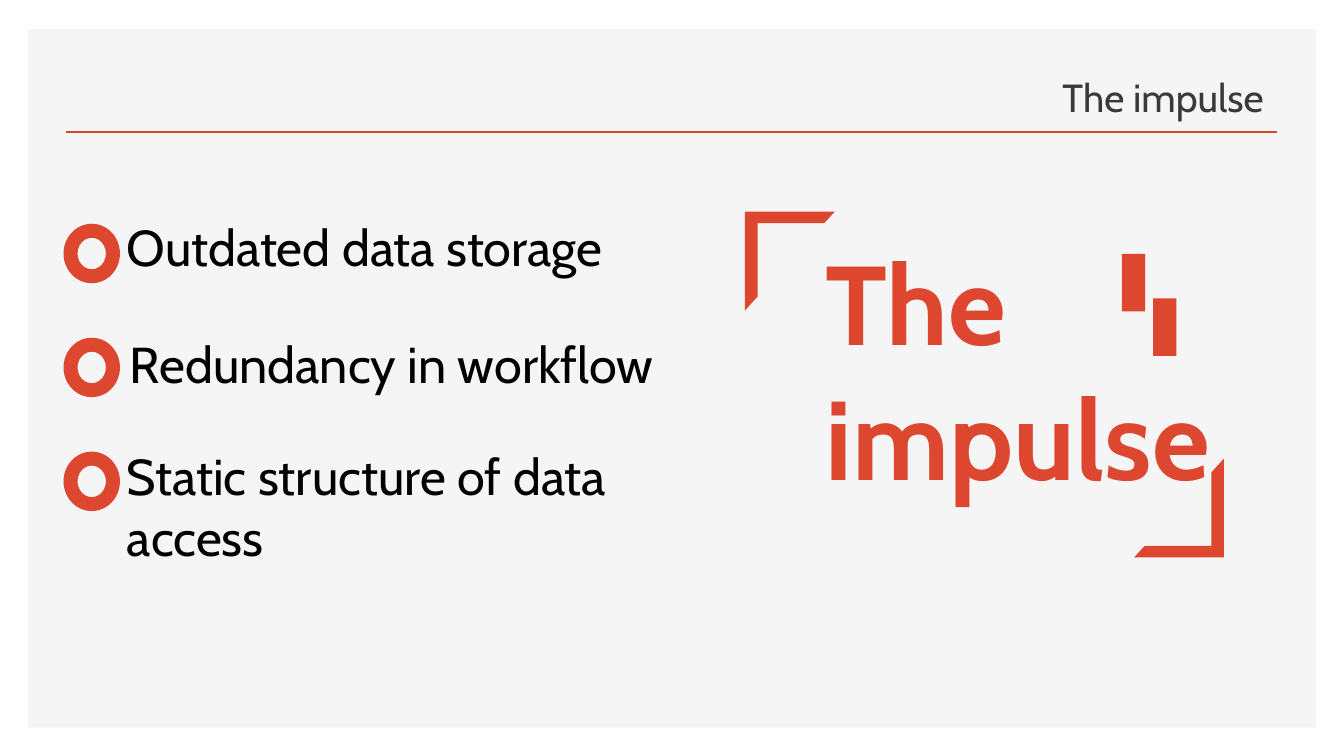
from dataclasses import dataclass

from lxml.etree import SubElement
from pptx import Presentation
from pptx.dml.color import RGBColor as Color
from pptx.enum.shapes import MSO_CONNECTOR as Connector, MSO_SHAPE as Shape
from pptx.enum.text import MSO_ANCHOR as Anchor, MSO_AUTO_SIZE as AutoSize, PP_ALIGN as Align
from pptx.oxml.ns import qn
from pptx.util import Inches, Pt


@dataclass(frozen=True)
class Theme:
    font: str = "Cabin"
    panel: str = "F5F5F5"
    rule: str = "D24726"
    accent: str = "DD462F"
    title: str = "3B3838"
    text: str = "000000"
    title_size: int = 28
    label_size: int = 36
    heading_size: int = 80
    rule_width: int = 2


THEME = Theme()
WIDTH, HEIGHT = Inches(13.33), Inches(7.5)
COLUMN, ROW = WIDTH / 100, HEIGHT / 100

HALF_FRAME = (0.129, 0.14)
FRAME_SIZE = (6.68, 13.07)
BAR_SIZE = (1.73, 7.6)
RING_SIZE = (4.2, 7.87)
RING_LEFT, RING_TOP, RING_PITCH = 4.73, 29.6, 15.07
LABELS = (
    ("Outdated data storage", (8.7, 27.87, 43.35, 9.47)),
    ("Redundancy in workflow", (8.93, 43.47, 42.38, 9.47)),
    ("Static structure of data access", (8.7, 58.27, 41.7, 17.47)),
)


def to_grid(left, top, width, height):
    return [round(length) for length in (left * COLUMN, top * ROW, width * COLUMN, height * ROW)]


def add_solid(shapes, kind, box, color=THEME.accent, adjustments=(), rotation=0):
    shape = shapes.add_shape(kind, *to_grid(*box))
    shape.shadow.inherit = False
    shape.fill.solid()
    shape.fill.fore_color.rgb = Color.from_string(color)
    shape.line.fill.background()
    shape.rotation = rotation
    for index, value in enumerate(adjustments):
        shape.adjustments[index] = value


def add_rule(shapes, left, right, top):
    start, level, length, _ = to_grid(left, top, right - left, 0)
    rule = shapes.add_connector(Connector.STRAIGHT, start, level, start + length, level)
    rule.line.color.rgb = Color.from_string(THEME.rule)
    rule.line.width = Pt(THEME.rule_width)
    SubElement(rule._element.spPr, qn("a:effectLst"))


def write_text(shape, text, size, color, bold=False):
    frame = shape.text_frame
    frame.text = text
    frame.word_wrap = True
    paragraph = frame.paragraphs[0]
    paragraph.alignment = Align.LEFT
    font = paragraph.font
    font.name, font.size, font.bold = THEME.font, Pt(size), bold
    font.color.rgb = Color.from_string(color)


def add_text(shapes, text, box, size, color, bold=False):
    shape = shapes.add_textbox(*to_grid(*box))
    write_text(shape, text, size, color, bold)
    shape.text_frame.auto_size = AutoSize.SHAPE_TO_FIT_TEXT


def place_title(slide, text, box):
    title = slide.shapes.title
    slide.shapes._spTree.append(title._element)
    title.left, title.top, title.width, title.height = to_grid(*box)
    write_text(title, text, THEME.title_size, THEME.title)
    title.text_frame.vertical_anchor = Anchor.BOTTOM
    title.text_frame.auto_size = AutoSize.NONE


def add_bars(slide):
    bars = slide.shapes.add_group_shape().shapes
    for left, top in ((83.48, 33.6), (85.8, 39.47)):
        add_solid(bars, Shape.RECTANGLE, (left, top, *BAR_SIZE))


def add_corners(slide):
    for left, top, rotation in ((55.43, 28, 0), (84.38, 60.67, 180)):
        add_solid(slide.shapes, Shape.HALF_FRAME, (left, top, *FRAME_SIZE),
                  adjustments=HALF_FRAME, rotation=rotation)


def add_points(slide):
    for index, (text, box) in enumerate(LABELS):
        point = slide.shapes.add_group_shape().shapes
        ring = (RING_LEFT, RING_TOP + index * RING_PITCH, *RING_SIZE)
        add_solid(point, Shape.DONUT, ring, adjustments=(0.248,))
        add_text(point, text, box, THEME.label_size, THEME.text)


def main():
    presentation = Presentation()
    presentation.slide_width, presentation.slide_height = WIDTH, HEIGHT
    slide = presentation.slides.add_slide(presentation.slide_layouts.get_by_name("Title Only"))
    add_solid(slide.shapes, Shape.RECTANGLE, (2.1, 3.87, 95.85, 92.4), THEME.panel)
    add_rule(slide.shapes, 4.95, 95.03, 17.47)
    place_title(slide, "The impulse", (78.3, 7.33, 18.38, 9.33))
    add_text(slide.shapes, "The impulse", (60.68, 30.27, 34.05, 37.2),
             THEME.heading_size, THEME.accent, bold=True)
    add_bars(slide)
    add_corners(slide)
    add_points(slide)
    presentation.save("out.pptx")


if __name__ == "__main__":
    main()
